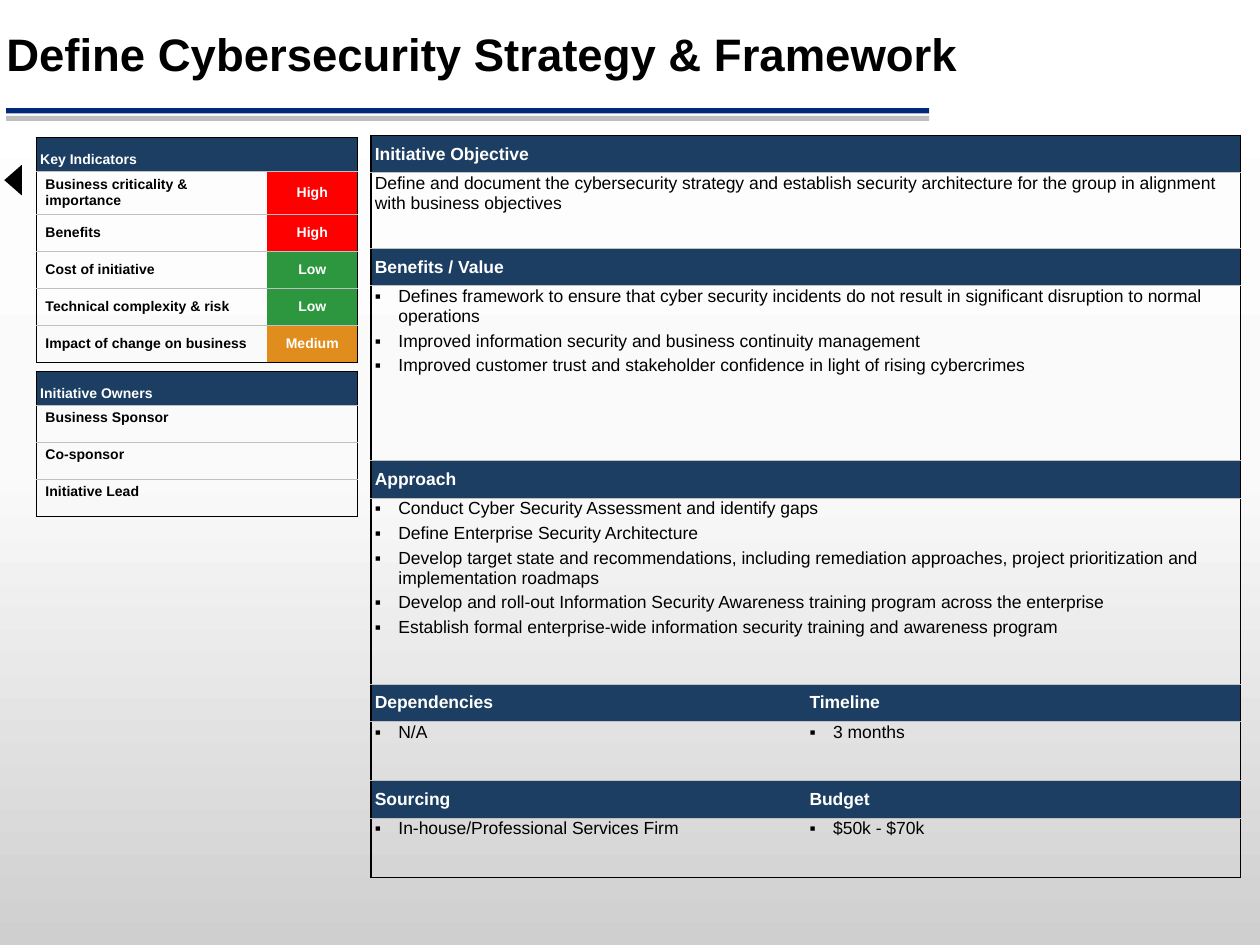
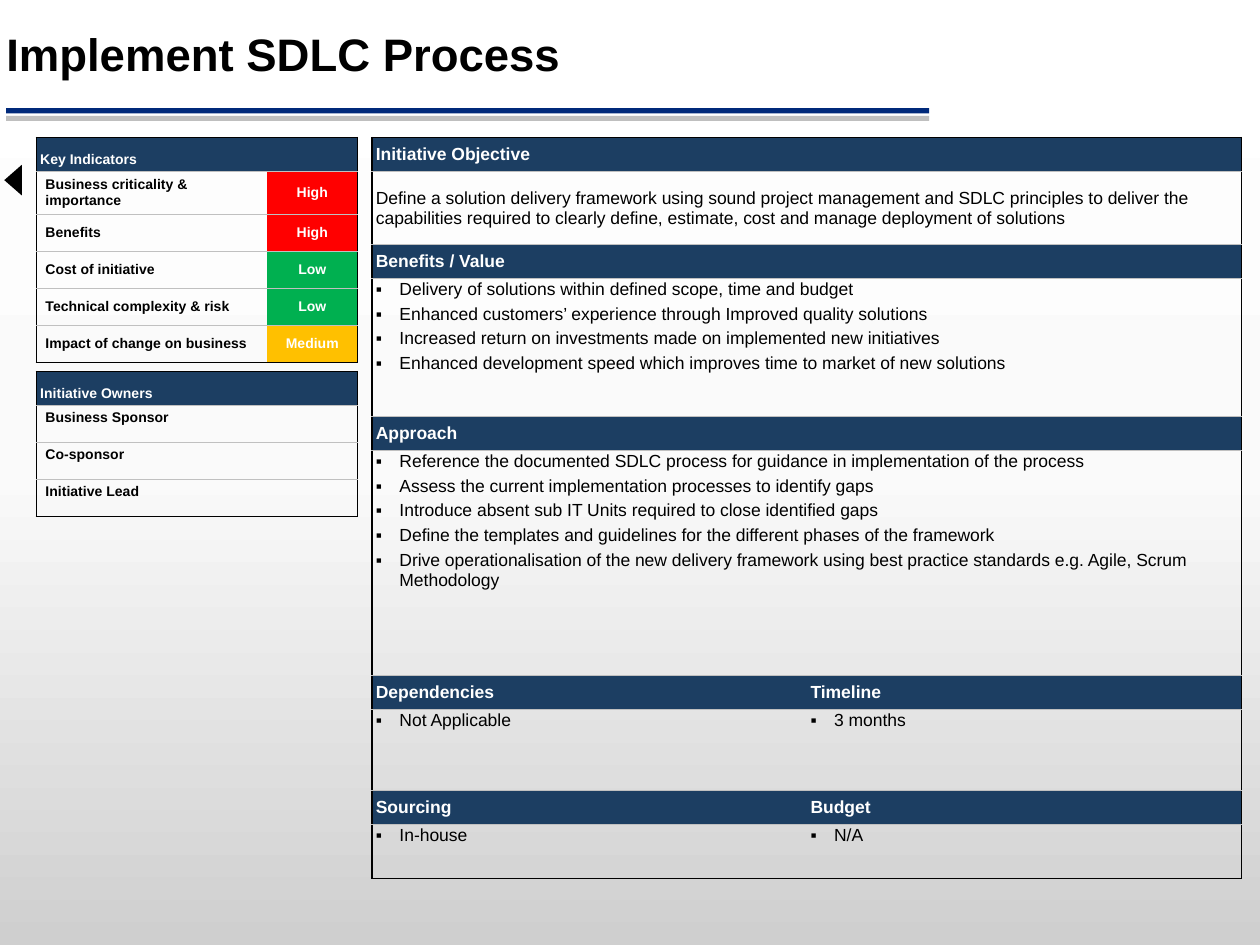
"""Build two one-page initiative charters with indicators, owners and plan."""
from copy import deepcopy

from lxml import etree
from pptx import Presentation
from pptx import util as u
from pptx.dml import color
from pptx.enum import shapes, text
from pptx.oxml import ns

Pt = u.Pt
COLORS = {
    "ink": "000000", "white": "FFFFFF", "header": "1C3E62", "grid": "C0C0C0",
    "rule": "00297A", "rule_shade": "BFBFBF", "high": "FF0000",
    "green": "2C973E", "orange": "E18D1D", "bright_green": "00B050", "amber": "FFC000",
}
BACKDROP = [(0, "CFCFCF"), (0.5, "FAFAFA"), (1, "FFFFFF")]
HEADER_INSETS = (2.2, 2.2, 2.2, 2.2)
LABEL_INSETS = (5.2, 2.6, 5.2, 2.6)
BODY_INSETS = (2.2, 0.7, 0.7, 0)
MIDDLE, TOP, BOTTOM = (text.MSO_ANCHOR.MIDDLE, text.MSO_ANCHOR.TOP,
                       text.MSO_ANCHOR.BOTTOM)

INDICATORS = [
    ("Business criticality & importance", "High"),
    ("Benefits", "High"),
    ("Cost of initiative", "Low"),
    ("Technical complexity & risk", "Low"),
    ("Impact of change on business", "Medium"),
]
OWNERS = ["Business Sponsor", "Co-sponsor", "Initiative Lead"]

INITIATIVES = [
    {
        "title": "Define Cybersecurity Strategy & Framework",
        "ratings": {"High": "high", "Low": "green", "Medium": "orange"},
        "origin": (212, 77.4),
        "header_height": 21.3,
        "body_heights": [43.3, 100, 106.3, 34, 34],
        "objective_anchor": TOP,
        "objective": "Define and document the cybersecurity strategy and establish security "
                     "architecture for the group in alignment with business objectives",
        "benefits": [
            "Defines framework to ensure that cyber security incidents do not result in "
            "significant disruption to normal operations",
            "Improved information security and business continuity management",
            "Improved customer trust and stakeholder confidence in light of rising cybercrimes",
        ],
        "approach": [
            "Conduct Cyber Security Assessment and identify gaps",
            "Define Enterprise Security Architecture",
            "Develop target state and recommendations, including remediation approaches, "
            "project prioritization and implementation roadmaps",
            "Develop and roll-out Information Security Awareness training program across "
            "the enterprise",
            "Establish formal enterprise-wide information security training and awareness "
            "program",
        ],
        "dependencies": "N/A",
        "timeline": "3 months",
        "sourcing": "In-house/Professional Services Firm",
        "budget": "$50k - $70k",
    },
    {
        "title": "Implement SDLC Process",
        "ratings": {"High": "high", "Low": "bright_green", "Medium": "amber"},
        "origin": (212.6, 78.6),
        "header_height": 19.4,
        "body_heights": [41.7, 78.9, 128.6, 46.3, 30.9],
        "objective_anchor": MIDDLE,
        "objective": "Define a solution delivery framework using sound project management and "
                     "SDLC principles to deliver the capabilities required to clearly define, "
                     "estimate, cost and manage deployment of solutions",
        "benefits": [
            "Delivery of solutions within defined scope, time and budget",
            "Enhanced customers’ experience through Improved quality solutions",
            "Increased return on investments made on implemented new initiatives",
            "Enhanced development speed which improves time to market of new solutions",
        ],
        "approach": [
            "Reference the documented SDLC process for guidance in implementation of the "
            "process",
            "Assess the current implementation processes to identify gaps",
            "Introduce absent sub IT Units required to close identified gaps",
            "Define the templates and guidelines for the different phases of the framework",
            "Drive operationalisation of the new delivery framework using best practice "
            "standards e.g. Agile, Scrum Methodology",
        ],
        "dependencies": "Not Applicable",
        "timeline": "3 months",
        "sourcing": "In-house",
        "budget": "N/A",
    },
]


def rgb(name):
    return color.RGBColor.from_string(COLORS[name])


class Charter:
    def __init__(self):
        self.deck = Presentation()
        self.deck.slide_width, self.deck.slide_height = Pt(720), Pt(540)
        self.slide = None
        self.paint_backdrop()

    def paint_backdrop(self):
        master = self.deck.slide_master
        fill = master.background.fill
        fill.gradient()
        fill.gradient_angle = 90
        first_stop = master.element.find(".//" + ns.qn("a:gs"))
        first_stop.addnext(deepcopy(first_stop))
        for stop, (position, shade) in zip(fill.gradient_stops, BACKDROP):
            stop.color.rgb = color.RGBColor.from_string(shade)
            stop.position = position

    def new_slide(self):
        self.slide = self.deck.slides.add_slide(self.deck.slide_layouts[6])

    def shape(self, kind, box, fill, rotation=0):
        shape = self.slide.shapes.add_shape(kind, *map(Pt, box))
        shape.shadow.inherit = False
        shape.fill.solid()
        shape.fill.fore_color.rgb = rgb(fill)
        shape.line.fill.background()
        shape.rotation = rotation

    def run(self, paragraph, words, size, ink="ink", bold=False):
        run = paragraph.add_run()
        run.text = words
        run.font.name, run.font.size, run.font.bold = "Arial", Pt(size), bold
        run.font.color.rgb = rgb(ink)

    def title(self, words):
        frame = self.slide.shapes.add_textbox(Pt(0), Pt(15), Pt(559.5), Pt(35)).text_frame
        frame.word_wrap = True
        frame.vertical_anchor = MIDDLE
        frame.margin_left = frame.margin_right = Pt(3.6)
        frame.margin_top = frame.margin_bottom = Pt(3.6)
        frame.paragraphs[0].line_spacing = 0.9
        self.run(frame.paragraphs[0], words, 26, bold=True)

    def table(self, origin, widths, heights):
        frame = self.slide.shapes.add_table(
            len(heights), len(widths), *map(Pt, (*origin, sum(widths), sum(heights))))
        table = frame.table
        table.first_row = table.horz_banding = False
        for column, width in zip(table.columns, widths):
            column.width = Pt(width)
        for row, height in zip(table.rows, heights):
            row.height = Pt(height)
        last_row, last_column = len(heights) - 1, len(widths) - 1
        for r in range(len(heights)):
            for c in range(len(widths)):
                cell = table.cell(r, c)
                self.borders(cell, {
                    "lnL": "ink" if c == 0 else None,
                    "lnR": "ink" if c == last_column else None,
                    "lnT": "ink" if r == 0 else "grid",
                    "lnB": "ink" if r == last_row else "grid",
                })
                cell.fill.background()
                end = etree.SubElement(cell.text_frame.paragraphs[0]._p,
                                       ns.qn("a:endParaRPr"))
                end.set("sz", "800")
        return table

    def borders(self, cell, sides):
        properties = cell._tc.get_or_add_tcPr()
        for side, ink in sides.items():
            width = Pt(1 if ink == "ink" else 0.5)
            line = etree.SubElement(properties, ns.qn("a:" + side), w=str(width))
            if ink is None:
                etree.SubElement(line, ns.qn("a:noFill"))
            else:
                solid = etree.SubElement(line, ns.qn("a:solidFill"))
                etree.SubElement(solid, ns.qn("a:srgbClr"), val=COLORS[ink])

    def merge_row(self, table, row):
        first, last = table.cell(row, 0), table.cell(row, 1)
        first.merge(last)
        properties = first._tc.tcPr
        properties.replace(properties.find(ns.qn("a:lnR")),
                           deepcopy(last._tc.tcPr.find(ns.qn("a:lnR"))))

    def cell(self, cell, lines, size, insets, anchor=TOP, ink="ink", bold=False,
             fill=None, align=None, bullet=False):
        cell.margin_left, cell.margin_top, cell.margin_right, cell.margin_bottom = map(Pt, insets)
        cell.vertical_anchor = anchor
        if fill:
            cell.fill.solid()
            cell.fill.fore_color.rgb = rgb(fill)
        frame = cell.text_frame
        for number, words in enumerate(lines):
            paragraph = frame.add_paragraph() if number else frame.paragraphs[0]
            paragraph.alignment = align
            if bullet:
                self.bullet(paragraph)
            self.run(paragraph, words, size, ink, bold)

    def bullet(self, paragraph):
        paragraph.space_after = Pt(3)
        properties = paragraph._p.get_or_add_pPr()
        properties.set("marL", str(Pt(13.5)))
        properties.set("indent", str(Pt(-13.5)))
        etree.SubElement(properties, ns.qn("a:buFont"), typeface="Arial")
        etree.SubElement(properties, ns.qn("a:buChar"), char="▪")

    def header(self, cell, words, size, anchor=MIDDLE):
        self.cell(cell, [words], size, HEADER_INSETS, anchor, "white", True, "header")

    def frame(self, title):
        bar = shapes.MSO_SHAPE.RECTANGLE
        self.shape(bar, (3.5, 66.2, 527.5, 3), "rule_shade")
        self.shape(bar, (3.5, 61.8, 527.5, 3), "rule")
        self.title(title)
        self.shape(shapes.MSO_SHAPE.ISOSCELES_TRIANGLE, (-1.3, 97.9, 17.5, 10), "ink", 270)

    def indicators(self, ratings):
        table = self.table((20.8, 78.6), (131.8, 51.8), [19.4, 24.5] + [21.15] * 4)
        self.merge_row(table, 0)
        self.header(table.cell(0, 0), "Key Indicators", 8, BOTTOM)
        for row, (indicator, rating) in enumerate(INDICATORS, 1):
            self.cell(table.cell(row, 0), [indicator], 8, LABEL_INSETS, MIDDLE, bold=True)
            self.cell(table.cell(row, 1), [rating], 8, LABEL_INSETS, MIDDLE, "white", True,
                      ratings[rating], text.PP_ALIGN.CENTER)

    def owners(self):
        table = self.table((20.8, 212.4), (82, 101.6), [19.4] + [21.15] * 3)
        self.merge_row(table, 0)
        self.header(table.cell(0, 0), "Initiative Owners", 8, BOTTOM)
        for row, owner in enumerate(OWNERS, 1):
            self.cell(table.cell(row, 0), [owner], 8, LABEL_INSETS, bold=True)

    def plan(self, initiative):
        heights = [height for body in initiative["body_heights"]
                   for height in (initiative["header_height"], body)]
        table = self.table(initiative["origin"], (248.4, 248.4), heights)
        sections = [
            [("Initiative Objective", [initiative["objective"]])],
            [("Benefits / Value", initiative["benefits"])],
            [("Approach", initiative["approach"])],
            [("Dependencies", [initiative["dependencies"]]),
             ("Timeline", [initiative["timeline"]])],
            [("Sourcing", [initiative["sourcing"]]), ("Budget", [initiative["budget"]])],
        ]
        for number, section in enumerate(sections):
            row = 2 * number
            if len(section) == 1:
                self.merge_row(table, row)
                self.merge_row(table, row + 1)
            for column, (heading, lines) in enumerate(section):
                self.header(table.cell(row, column), heading, 10)
                self.cell(table.cell(row + 1, column), lines, 10, BODY_INSETS,
                          TOP if number else initiative["objective_anchor"],
                          bullet=number > 0)


def main():
    charter = Charter()
    for initiative in INITIATIVES:
        charter.new_slide()
        charter.frame(initiative["title"])
        charter.indicators(initiative["ratings"])
        charter.owners()
        charter.plan(initiative)
    charter.deck.save("out.pptx")


if __name__ == "__main__":
    main()
